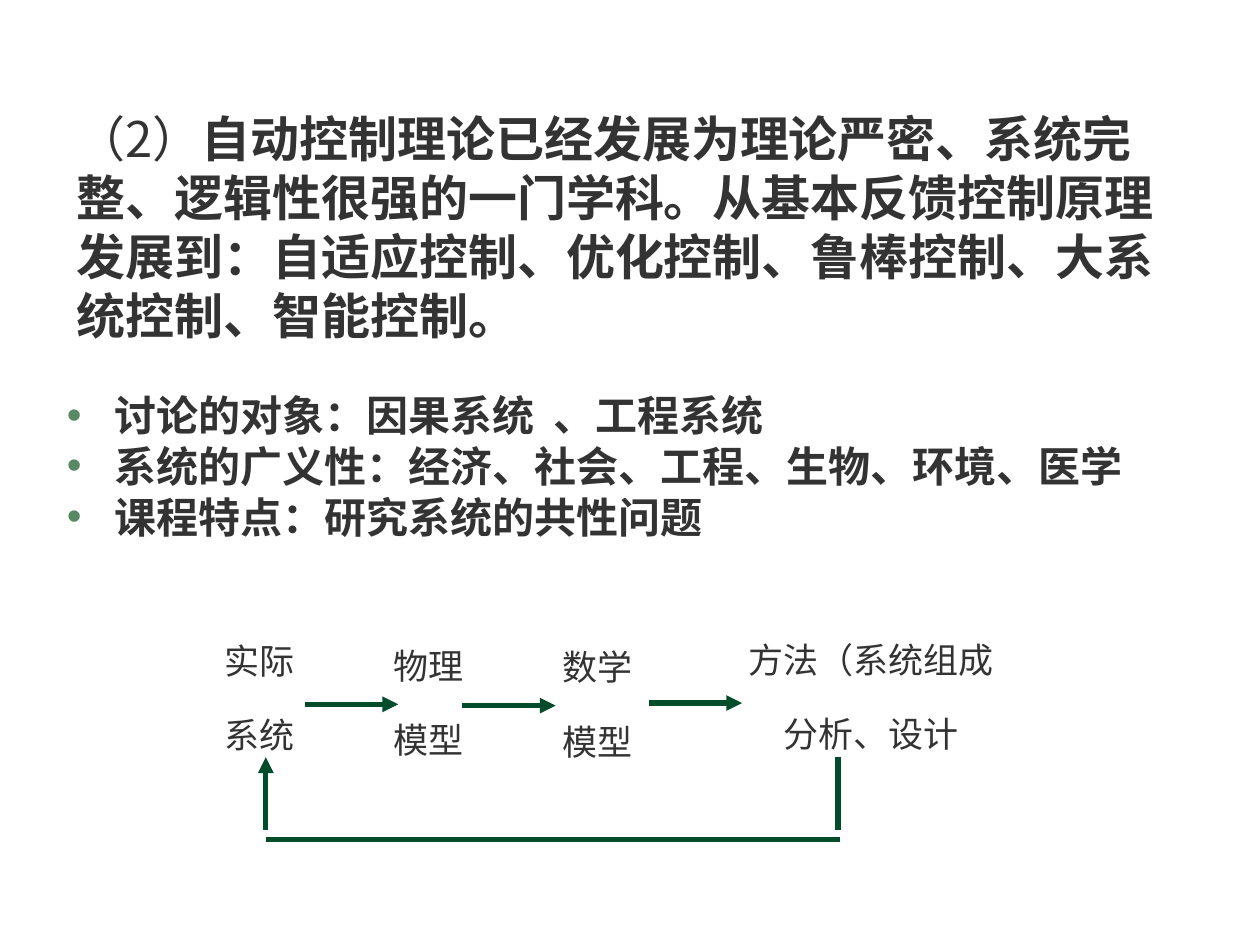
from lxml import etree
from pptx import Presentation
from pptx import util as u
from pptx.dml.color import RGBColor
from pptx.enum import shapes, text
from pptx.oxml import parse_xml
from pptx.oxml.ns import nsdecls, qn

INK = RGBColor(0x33, 0x33, 0x33)
GREEN = RGBColor(0x00, 0x4C, 0x2B)
BULLET = RGBColor(0x57, 0x89, 0x63)
LATIN, CJK = "Times New Roman", "Noto Sans CJK SC"


def add_text(p, words, size=20, bold=False, font=LATIN, color=INK):
    """Append a formatted run to a paragraph."""
    r = p.add_run()
    r.text = words
    r.font.size, r.font.bold, r.font.name = u.Pt(size), bold, font
    r.font.color.rgb = color
    ea = etree.SubElement(r.font._element, qn("a:ea"))
    ea.set("typeface", CJK)
    return r


class SlideBuilder:
    def __init__(self, prs):
        self.s = prs.slides.add_slide(prs.slide_layouts[1])

    def place(self, sp, left, top, width, height):
        sp.left, sp.top = u.Inches(left), u.Inches(top)
        sp.width, sp.height = u.Inches(width), u.Inches(height)
        tf = sp.text_frame
        tf.word_wrap, tf.auto_size = True, text.MSO_AUTO_SIZE.NONE
        return tf

    def title(self, box, number, words):
        tf = self.place(self.s.shapes.title, *box)
        tf.vertical_anchor = text.MSO_ANCHOR.BOTTOM
        p = tf.paragraphs[0]
        p.alignment = text.PP_ALIGN.LEFT
        add_text(p, number, size=28, font=CJK)
        add_text(p, words, size=28, bold=True, font=CJK)

    def bullets(self, box, items):
        tf = self.place(self.s.placeholders[1], *box)
        for i, item in enumerate(items):
            p = tf.paragraphs[0] if i == 0 else tf.add_paragraph()
            p.line_spacing, p.space_before = 0.8, u.Pt(6 if i else 0)
            pPr = p._p.get_or_add_pPr()
            pPr.set("marL", str(u.Inches(0.38)))
            pPr.set("indent", str(-u.Inches(0.38)))
            pPr.append(parse_xml(f'<a:buClr {nsdecls("a")}><a:srgbClr val="{BULLET}"/></a:buClr>'))
            pPr.append(parse_xml(f'<a:buChar {nsdecls("a")} char="•"/>'))
            add_text(p, item, size=24, bold=True)

    def label(self, box, lines):
        tf = self.place(self.s.shapes.add_textbox(0, 0, 0, 0), *box)
        tf.margin_left = tf.margin_right = tf.margin_top = tf.margin_bottom = 0
        tf.vertical_anchor = text.MSO_ANCHOR.MIDDLE
        for i, line in enumerate(lines):
            p = tf.paragraphs[0] if i == 0 else tf.add_paragraph()
            p.alignment = text.PP_ALIGN.CENTER
            p.line_spacing, p.space_before = 1.25, u.Pt(12.5 if i else 0)
            add_text(p, line)

    def line(self, x1, y1, x2, y2, arrow=False):
        c = self.s.shapes.add_connector(
            shapes.MSO_CONNECTOR.STRAIGHT, *(u.Inches(v) for v in (x1, y1, x2, y2)))
        c.line.color.rgb, c.line.width = GREEN, u.Pt(3)
        if arrow:
            etree.SubElement(c.line._get_or_add_ln(), qn("a:tailEnd")).set("type", "triangle")
        etree.SubElement(c._element.spPr, qn("a:effectLst"))


def main():
    prs = Presentation()
    prs.slide_width, prs.slide_height = u.Inches(10), u.Inches(7.5)
    slide = SlideBuilder(prs)

    # Statement and topics
    slide.title((0.51, 0.76, 8.93, 2.02), "（2）",
                "自动控制理论已经发展为理论严密、系统完整、逻辑性很强的一门学科。"
                "从基本反馈控制原理发展到：自适应控制、优化控制、鲁棒控制、大系统控制、智能控制。")
    slide.bullets((0.43, 3.12, 8.98, 1.34), [
        "讨论的对象：因果系统  、工程系统",
        "系统的广义性：经济、社会、工程、生物、环境、医学",
        "课程特点：研究系统的共性问题",
    ])

    # Stages from real system to methods
    for left, top, width, lines in [
        (1.61, 4.99, 0.9, ("实际", "系统")),
        (2.95, 5.03, 0.9, ("物理", "模型")),
        (4.29, 5.04, 0.9, ("数学", "模型")),
        (5.68, 4.98, 2.47, ("方法（系统组成", "分析、设计")),
    ]:
        slide.label((left, top, width, 1.01), lines)

    # Arrows between stages
    for x, y in [(2.42, 5.59), (3.67, 5.6), (5.15, 5.58)]:
        slide.line(x, y, x + 0.74, y, arrow=True)

    # Feedback path
    slide.line(6.65, 6.01, 6.65, 6.59)
    slide.line(6.67, 6.66, 2.11, 6.66)
    slide.line(2.11, 6.59, 2.11, 6.01, arrow=True)

    prs.save("out.pptx")


if __name__ == "__main__":
    main()
